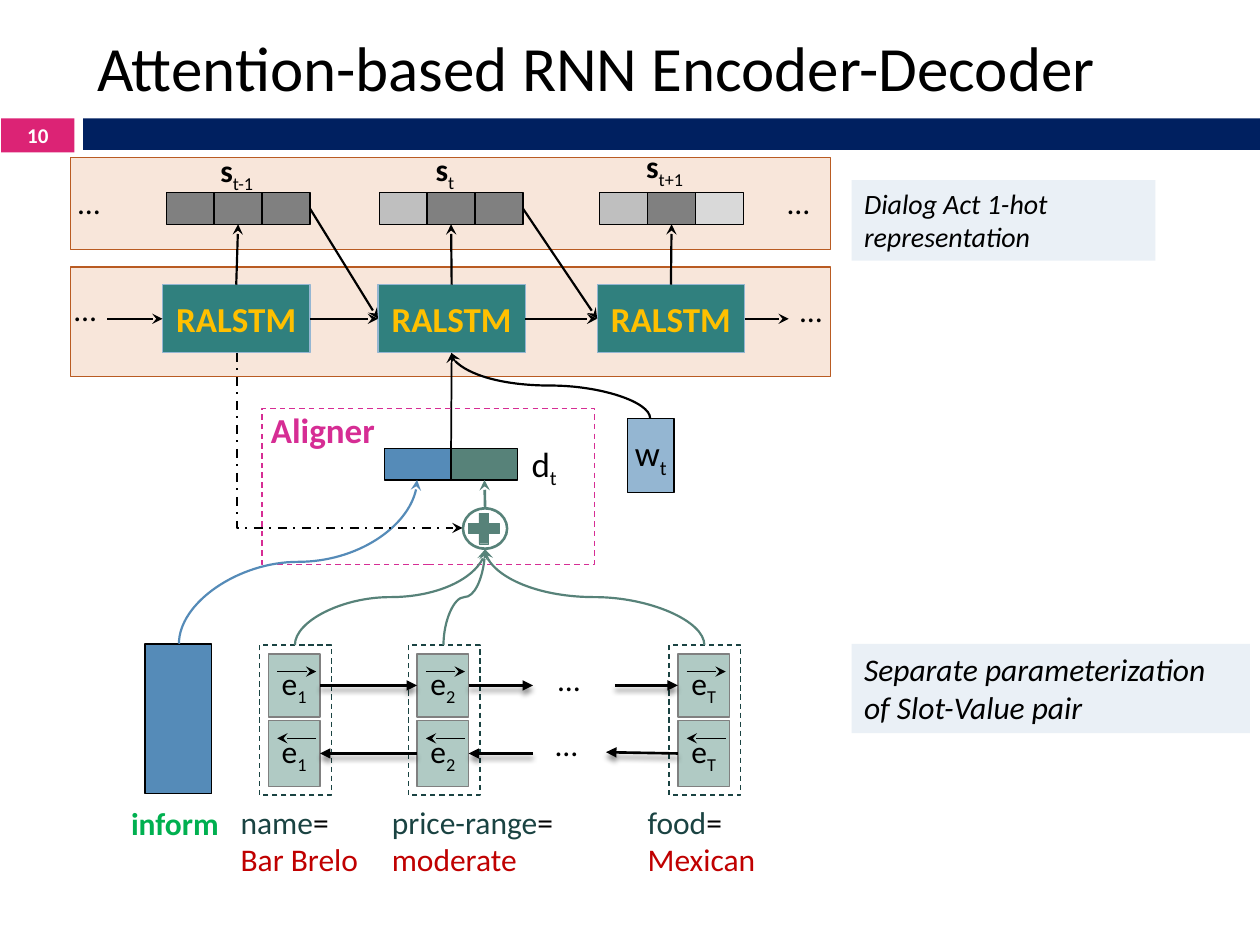
import lxml.etree
import pptx
import pptx.util
import pptx.oxml.ns
import pptx.dml.color
import pptx.enum.dml
import pptx.enum.shapes
import pptx.enum.text

HUES = {
    "pink": "DC2375", "navy": "002060", "peach": "F8E6DA", "rust": "B95B22",
    "black": "000000", "white": "FFFFFF", "rose": "D62D94", "blue": "558BB8",
    "moss": "578279", "sky": "94B6D2", "mint": "B0CAC4", "gray": "808080",
    "pine": "1A4342", "green": "00B050", "red": "C00000", "teal": "30807E",
    "gold": "FFC000", "silver": "BFBFBF", "pale": "D9D9D9", "ice": "EAF0F6",
}
COLS, ROWS = 100, 75
WIDE, HIGH = pptx.util.Inches(10), pptx.util.Inches(7.5)
FACE = "Calibri"
KIND = pptx.enum.shapes.MSO_SHAPE
LINK = pptx.enum.shapes.MSO_CONNECTOR
DASH = pptx.enum.dml.MSO_LINE
SIDE = pptx.enum.text.PP_ALIGN
MID = pptx.enum.text.MSO_ANCHOR.MIDDLE
FIT = pptx.enum.text.MSO_AUTO_SIZE
TOP, LEFT, BASE, RIGHT = range(4)


def col(x):
    return round(WIDE * x / COLS)


def row(y):
    return round(HIGH * y / ROWS)


def place(x, y, w, h):
    return col(x), row(y), col(w), row(h)


def hue(name):
    return pptx.dml.color.RGBColor.from_string(HUES[name])


def node(root, tag, **marks):
    return lxml.etree.SubElement(root, pptx.oxml.ns.qn(tag), **marks)


def run(text, tint="black", bold=False, low=False, slant=False):
    return text, tint, bold, low, slant


def fill_text(frame, lines, size, align=SIDE.LEFT, inset=True, wrap=True):
    frame.word_wrap = wrap
    if not inset:
        frame.margin_left = frame.margin_right = 0
        frame.margin_top = frame.margin_bottom = 0
    for n, runs in enumerate(lines):
        para = frame.add_paragraph() if n else frame.paragraphs[0]
        para.alignment = align
        for text, tint, bold, low, slant in runs:
            part = para.add_run()
            part.text = text
            font = part.font
            font.name, font.size = FACE, pptx.util.Pt(size)
            font.bold, font.italic = bold, slant
            font.color.rgb = hue(tint)
            if low:
                font._element.set("baseline", "-25000")


def box(page, spot, fill=None, edge=None, width=0.79, dash=None, kind=KIND.RECTANGLE):
    shape = page.shapes.add_shape(kind, *place(*spot))
    shape.shadow.inherit = False
    if fill:
        shape.fill.solid()
        shape.fill.fore_color.rgb = hue(fill)
    else:
        shape.fill.background()
    if edge:
        shape.line.color.rgb = hue(edge)
        shape.line.width = pptx.util.Pt(width)
        if dash:
            shape.line.dash_style = dash
    else:
        shape.line.fill.background()
    return shape


def label(page, spot, fill, edge, runs, size, inset=True):
    shape = box(page, spot, fill, edge)
    shape.text_frame.vertical_anchor = MID
    fill_text(shape.text_frame, [runs], size, SIDE.CENTER, inset)
    return shape


def words(page, spot, lines, size=18, inset=False, wrap=False):
    frame = page.shapes.add_textbox(*place(*spot)).text_frame
    fill_text(frame, lines, size, inset=inset, wrap=wrap)
    frame.auto_size = FIT.SHAPE_TO_FIT_TEXT


def dots(page, x, y):
    words(page, (x, y, 4.1, 3.2), [[run("…")]], wrap=True)


def note(page, spot, lines, size):
    frame = box(page, spot, "ice").text_frame
    frame.vertical_anchor = pptx.enum.text.MSO_ANCHOR.TOP
    fill_text(frame, [[run(text, slant=True)] for text in lines], size)
    frame.auto_size = FIT.SHAPE_TO_FIT_TEXT


def style(link, tint, width, tip, dash=None, shade=False):
    link.line.color.rgb = hue(tint)
    link.line.width = pptx.util.Pt(width)
    if dash:
        link.line.dash_style = dash
    form = link._element.spPr
    node(form.find(pptx.oxml.ns.qn("a:ln")), "a:tailEnd", type=tip)
    glow = node(form, "a:effectLst")
    if shade:
        cast = node(glow, "a:outerShdw", blurRad="38100", dist="30480",
                    dir="5400000", rotWithShape="0")
        tone = node(cast, "a:srgbClr", val=HUES["black"])
        node(tone, "a:alpha", val="45000")


def line(page, start, end, tint="black", width=1.25, tip="stealth", shade=False):
    link = page.shapes.add_connector(LINK.STRAIGHT, 0, 0, 0, 0)
    if hasattr(start[0], "shape_id"):
        link.begin_connect(*start)
    else:
        link.begin_x, link.begin_y = col(start[0]), row(start[1])
    if hasattr(end[0], "shape_id"):
        link.end_connect(*end)
    else:
        link.end_x, link.end_y = col(end[0]), row(end[1])
    style(link, tint, width, tip, shade=shade)


def bend(page, start, end, tint="black", elbow=False):
    (x1, y1), (x2, y2) = start, end
    w, h = abs(y2 - y1), abs(x2 - x1)
    link = page.shapes.add_connector(LINK.CURVE, 0, 0, 0, 0)
    link.left, link.top, link.width, link.height = place(
        (x1 + x2 - w) / 2, (y1 + y2 - h) / 2, w, h)
    form = link._element.spPr
    if elbow:
        form.find(pptx.oxml.ns.qn("a:prstGeom")).set("prst", "bentConnector2")
        turn, flips = 270, ["flipH"]
    elif x2 > x1:
        turn, flips = 90, ["flipH", "flipV"]
    else:
        turn, flips = 270, ["flipV"]
    form.xfrm.set("rot", str(turn * 60000))
    for flip in flips:
        form.xfrm.set(flip, "1")
    style(link, tint, 1.25, "stealth", DASH.DASH_DOT if elbow else None)


def header(page):
    title = page.shapes.title
    title.left, title.top, title.width, title.height = place(6.7, 2.5, 89.2, 5.5)
    title.text_frame.vertical_anchor = MID
    fill_text(title.text_frame, [[run("Attention-based RNN Encoder-Decoder")]], 36)
    box(page, (6.6, 9.4, 93.4, 2.5), "navy")
    label(page, (0.1, 9.4, 5.8, 2.7), "pink", None, [run("10", "white", True)], 12)


def decoder(page):
    for y, h in ((12.5, 7.3), (21.2, 8.7)):
        box(page, (5.6, y, 60.3, h), "peach", "rust")
    steps = (
        (12.9, 13.2, ("gray", "gray", "gray"), "t-1", (16.5, 11.5, 4.9, 4)),
        (30, 30.1, ("silver", "gray", "gray"), "t", (33.6, 11.4, 3.6, 4)),
        (47.4, 47.6, ("silver", "gray", "pale"), "t+1", (50.3, 11.2, 5.2, 4)),
    )
    last = state = None
    for x, left, tints, sub, spot in steps:
        cell = label(page, (x, 22.6, 11.7, 5.4), "teal", "sky",
                     [run("RALSTM", "gold", True)], 20)
        bits = [box(page, (left + 3.8 * n, 15.3, 3.8, 2.5), tint, "black")
                for n, tint in enumerate(tints)]
        words(page, spot, [[run("s", bold=True), run(sub, low=True)]], inset=True)
        line(page, (cell, TOP), (bits[1], BASE))
        line(page, (last, RIGHT) if last else (8.5, 25.3), (cell, LEFT))
        if state:
            line(page, (state, RIGHT), (cell, LEFT))
        last, state = cell, bits[-1]
        if sub == "t":
            line(page, (35.8, 35.6), (cell, BASE), width=1)
    line(page, (last, RIGHT), (62.6, 25.3))
    for x, y in ((5.9, 23), (63.5, 23.1), (6.2, 14.5), (62.5, 14.5)):
        dots(page, x, y)


def aligner(page):
    box(page, (20.8, 32.4, 26.4, 12.4), None, "rose", dash=DASH.DASH)
    box(page, (11.5, 51.1, 5.3, 11.9), "blue", "black")
    box(page, (30.5, 35.6, 5.3, 2.5), "blue", "black")
    mix = box(page, (35.8, 35.6, 5.3, 2.5), "moss", "black")
    label(page, (49.8, 33.2, 3.7, 5.9), "sky", "black",
          [run("w"), run("t", low=True)], 20, False)
    box(page, (36.7, 40.3, 3.4, 3.3), "moss", "moss", 0.25, kind=KIND.MATH_PLUS)
    ring = box(page, (36.7, 40.3, 3.6, 3.3), "moss", "moss", 0.75, kind=KIND.DONUT)
    ring.adjustments[0] = 0.03
    line(page, (38.5, 40.3), (mix, BASE), "moss", 1.5)
    bend(page, (14.2, 51.1), (33.1, 38.1), "blue")
    bend(page, (51.6, 33.2), (35.8, 28))
    bend(page, (18.8, 28), (36.7, 41.9), elbow=True)
    words(page, (21.5, 32.4, 8.3, 3.4), [[run("Aligner", "rose", True)]], 20)
    words(page, (41.2, 34.6, 4.1, 4.4), [[run("d"), run("t", low=True)]], 20, True)


def encoder(page):
    pairs = []
    for x, sub in ((21.3, "1"), (33.1, "2"), (53.8, "T")):
        pair = [label(page, (x, y, 4.1, h), "mint", "gray",
                      [run("e"), run(sub, low=True)], 18, False)
                for y, h in ((51.9, 5), (57.2, 5.2))]
        line(page, (x + 0.7, 53.3), (x + 3.8, 53.3), width=0.25)
        line(page, (x + 3.8, 58.6), (x + 0.7, 58.6), width=0.25)
        box(page, (x - 0.7, 51.2, 5.7, 11.9), None, "pine", 0.75, DASH.DASH)
        bend(page, (x + 2.1, 51.2), (38.5, 43.6), "moss")
        pairs.append(pair)
    one, two, end = pairs
    for start, stop in (
        ((one[0], RIGHT), (two[0], LEFT)),
        ((two[0], RIGHT), (42.3, 54.4)),
        ((48.8, 54.4), (end[0], LEFT)),
        ((two[1], LEFT), (one[1], RIGHT)),
        ((42.3, 59.8), (two[1], RIGHT)),
        ((end[1], LEFT), (48.1, 59.7)),
    ):
        line(page, start, stop, width=1.5, tip="triangle", shade=True)
    dots(page, 44.3, 52.4)
    dots(page, 44.1, 57.5)
    words(page, (10.4, 63.8, 7, 3), [[run("inform", "green", True)]])
    for x, w, slot, value in ((19.1, 10.3, "name", "Bar Brelo"),
                              (31.1, 13, "price-range", "moderate"),
                              (51.4, 8.6, "food", "Mexican")):
        words(page, (x, 63.7, w, 6.1), [[run(slot, "pine"), run("=")], [run(value, "red")]])


def main():
    deck = pptx.Presentation()
    deck.slide_width, deck.slide_height = WIDE, HIGH
    page = deck.slides.add_slide(deck.slide_layouts[5])
    header(page)
    decoder(page)
    aligner(page)
    encoder(page)
    note(page, (67.6, 14.3, 24.1, 6.4), ["Dialog Act 1-hot", "representation"], 16)
    note(page, (67.6, 51.1, 31.6, 7.1),
         ["Separate parameterization", "of Slot-Value pair"], 18)
    deck.save("out.pptx")


if __name__ == "__main__":
    main()
